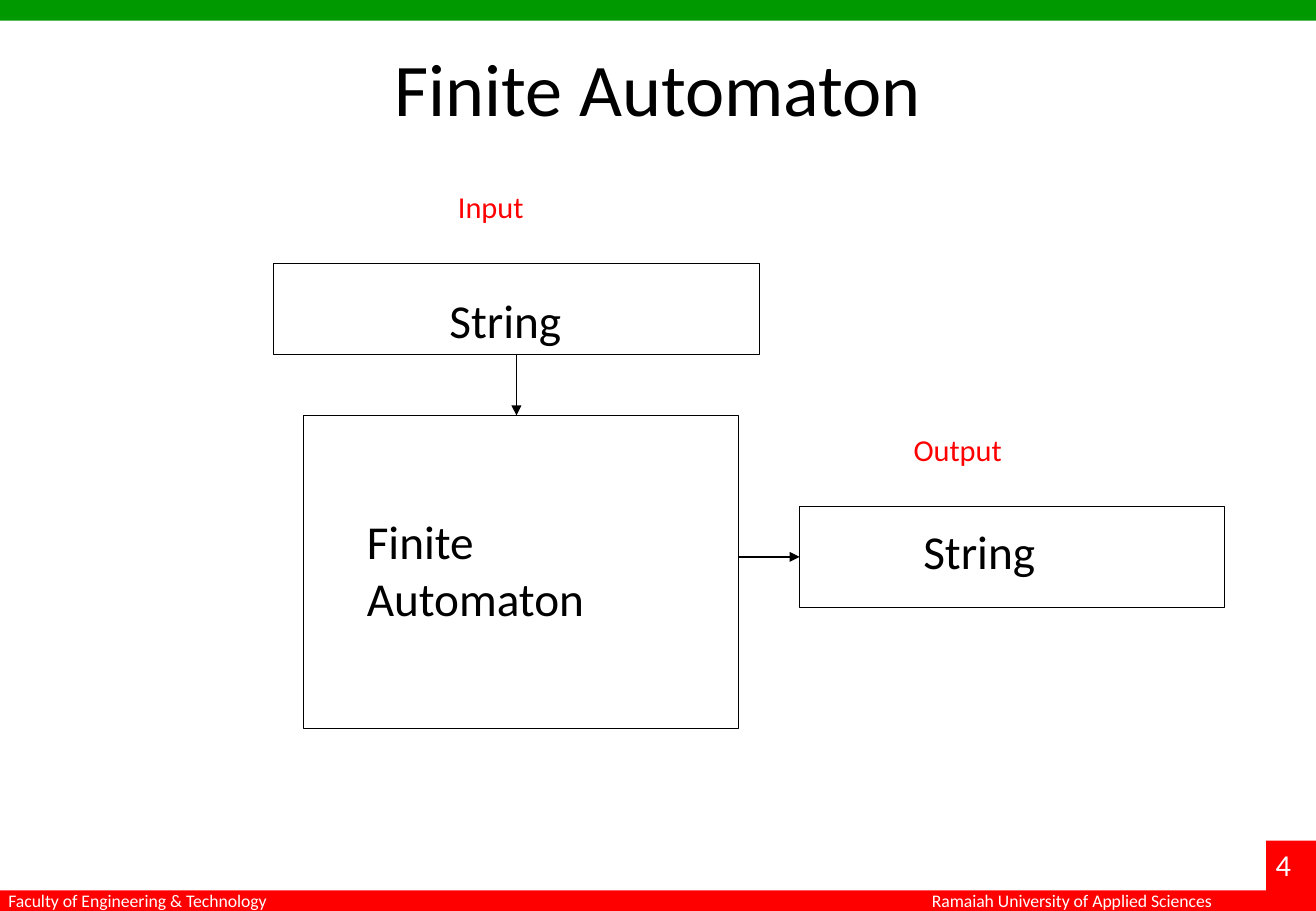
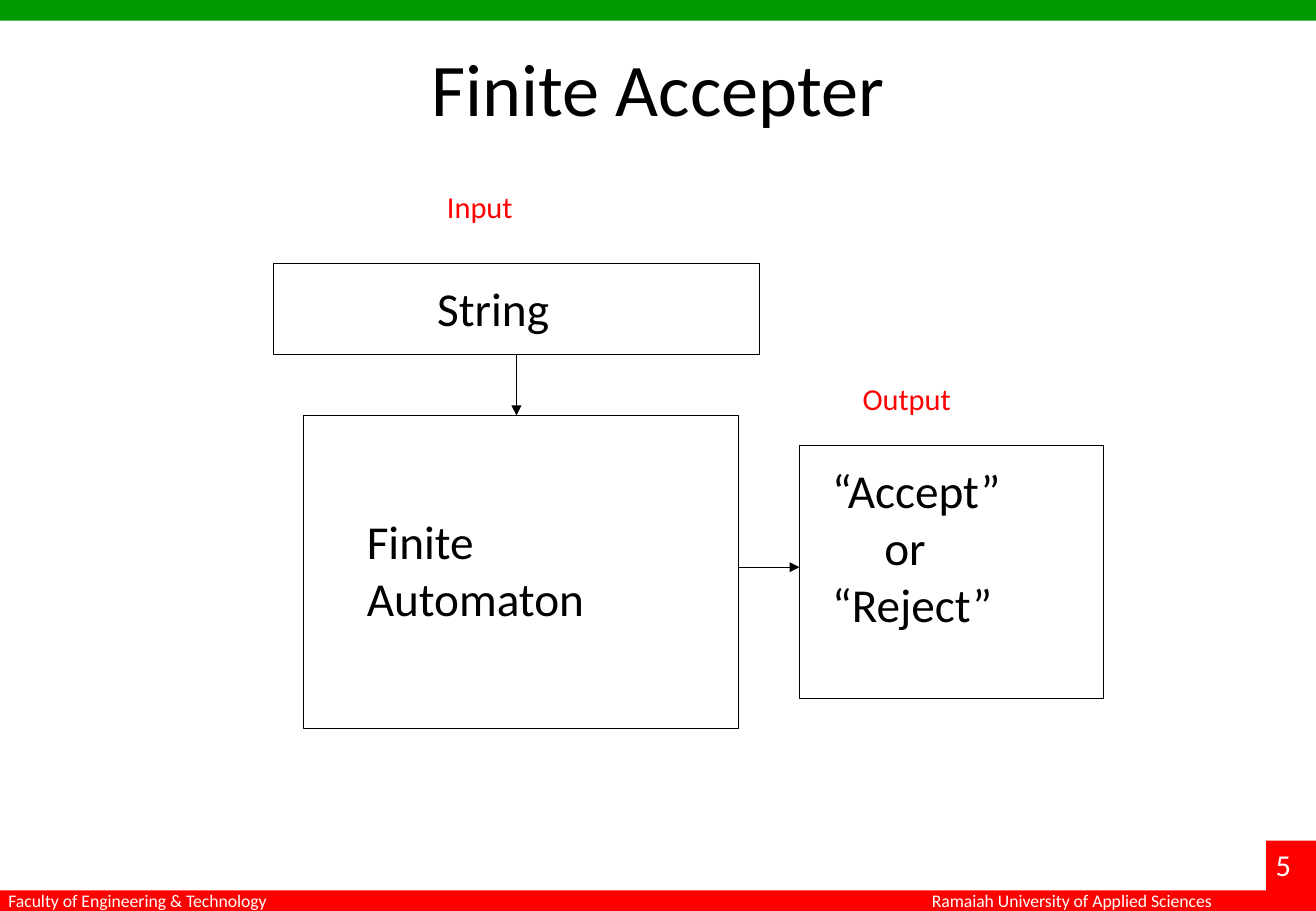
from dataclasses import dataclass

import pptx
import pptx.dml.color
import pptx.enum.shapes
import pptx.enum.text
import pptx.util
from lxml import etree

Inches = pptx.util.Inches
Pt = pptx.util.Pt
SHAPE = pptx.enum.shapes.MSO_SHAPE.RECTANGLE
STRAIGHT = pptx.enum.shapes.MSO_CONNECTOR.STRAIGHT
ALIGN = pptx.enum.text.PP_ALIGN
ANCHOR = pptx.enum.text.MSO_ANCHOR
FIT = pptx.enum.text.MSO_AUTO_SIZE
rgb = pptx.dml.color.RGBColor.from_string


@dataclass(frozen=True)
class Theme:
    font: str = "Calibri"
    green: str = "009900"
    red: str = "FF0000"
    ink: str = "000000"
    white: str = "FFFFFF"
    title: float = 44
    body: float = 28
    label: float = 18
    foot: float = 10.5
    line: float = 0.75


@dataclass(frozen=True)
class Box:
    left: float
    top: float
    width: float
    height: float

    @property
    def right(self):
        return self.left + self.width

    @property
    def bottom(self):
        return self.top + self.height

    @property
    def center(self):
        return self.left + self.width / 2

    @property
    def middle(self):
        return self.top + self.height / 2

    def inner(self, left, top, width, height):
        return Box(self.left + left, self.top + top, width, height)

    def emu(self):
        return [Inches(n) for n in (self.left, self.top, self.width, self.height)]


@dataclass(frozen=True)
class Flow:
    title: str
    number: int
    input: tuple
    string: tuple
    output: tuple
    result: tuple
    answer: tuple
    lines: tuple
    level: float
    indent: dict


THEME = Theme()
PAGE = Box(0, 0, 10.83, 7.5)
AREA = Box(2.25, 1.5, 7.83, 4.5)
BAND = 0.17

FLOWS = [
    Flow("Finite Automaton", 4, (1.42, 0), (1.35, 0.85), (5.17, 2),
         (4.33, 2.67, 3.5, 0.83), (0.92, 0.08, 1.13, 0.57),
         ("String",), 3.08, {}),
    Flow("Finite Accepter", 5, (1.33, 0), (1.25, 0.75), (4.75, 1.58),
         (4.33, 2.17, 2.5, 2.08), (0.17, 0.08, 1.6, 1.51),
         ("“Accept”", "or", "“Reject”"), 3.17, {1: 0.43}),
]


def style(para, size, color):
    para.font.name = THEME.font
    para.font.size = Pt(size)
    para.font.color.rgb = rgb(color)


def write(slide, box, lines, size, color, indent=None):
    frame = slide.shapes.add_textbox(*box.emu()).text_frame
    frame.word_wrap = False
    frame.auto_size = FIT.SHAPE_TO_FIT_TEXT
    frame.text = "\n".join(lines)
    for index, para in enumerate(frame.paragraphs):
        if indent and index in indent:
            para._p.get_or_add_pPr().set("marL", str(Inches(indent[index])))
        style(para, size, color)


def rect(slide, box, fill=None):
    shape = slide.shapes.add_shape(SHAPE, *box.emu())
    shape.shadow.inherit = False
    if fill:
        shape.fill.solid()
        shape.fill.fore_color.rgb = rgb(fill)
        shape.line.fill.background()
    else:
        shape.fill.background()
        shape.line.color.rgb = rgb(THEME.ink)
        shape.line.width = Pt(THEME.line)
    return shape


def arrow(slide, start, end):
    link = slide.shapes.add_connector(STRAIGHT, *map(Inches, start + end))
    link.line.color.rgb = rgb(THEME.ink)
    link.line.width = Pt(THEME.line)
    space = pptx.oxml.ns.qn
    etree.SubElement(link.line._get_or_add_ln(), space("a:tailEnd"), type="triangle")
    etree.SubElement(link._element.spPr, space("a:effectLst"))
    return link


def frame(slide, page, number):
    base = page.bottom - BAND
    rect(slide, page.inner(0, 0, page.width, BAND), THEME.green)
    rect(slide, page.inner(0, base, page.width, BAND), THEME.red)
    rect(slide, page.inner(10.42, 6.92, 0.41, 0.58), THEME.red)
    write(slide, page.inner(7.57, 7.28, 2.59, 0.28),
          ["Ramaiah University of Applied Sciences"], THEME.foot, THEME.white)
    write(slide, page.inner(10.4, 6.92, 0.33, 0.4),
          [str(number)], THEME.label, THEME.white)
    write(slide, page.inner(-0.03, 7.28, 2.38, 0.28),
          ["Faculty of Engineering & Technology"], THEME.foot, THEME.white)


def head(slide, box, text):
    title = slide.shapes.title
    title.left, title.top, title.width, title.height = box.emu()
    body = title.text_frame
    body.text = text
    body.auto_size = FIT.NONE
    body.vertical_anchor = ANCHOR.TOP
    para = body.paragraphs[0]
    para.alignment = ALIGN.CENTER
    style(para, THEME.title, THEME.ink)


def chart(slide, area, flow):
    source = area.inner(0, 0.67, 4, 0.75)
    engine = area.inner(0.25, 1.92, 3.58, 2.58)
    result = area.inner(*flow.result)
    level = area.top + flow.level

    tape = rect(slide, source)
    rect(slide, engine)
    target = rect(slide, result)

    write(slide, area.inner(*flow.input, 0.75, 0.4), ["Input"], THEME.label, THEME.red)
    write(slide, area.inner(*flow.output, 0.94, 0.4), ["Output"], THEME.label, THEME.red)
    write(slide, area.inner(*flow.string, 1.13, 0.57), ["String"], THEME.body, THEME.ink)
    write(slide, engine.inner(0.42, 0.75, 2.01, 1.04),
          ["Finite", "Automaton"], THEME.body, THEME.ink)
    write(slide, result.inner(*flow.answer), flow.lines,
          THEME.body, THEME.ink, flow.indent)

    feed = arrow(slide, (source.center, source.bottom), (source.center, engine.top))
    feed.begin_connect(tape, 2)
    send = arrow(slide, (engine.right, level), (result.left, level))
    if abs(level - result.middle) < 0.02:
        send.end_connect(target, 1)
        send.begin_y = send.end_y


def main():
    deck = pptx.Presentation()
    deck.slide_width = Inches(PAGE.width)
    deck.slide_height = Inches(PAGE.height)
    layout = deck.slide_layouts.get_by_name("Title Only")
    for flow in FLOWS:
        slide = deck.slides.add_slide(layout)
        frame(slide, PAGE, flow.number)
        head(slide, PAGE.inner(0.54, 0.3, 9.75, 1.25), flow.title)
        chart(slide, AREA, flow)
    deck.save("out.pptx")


if __name__ == "__main__":
    main()
